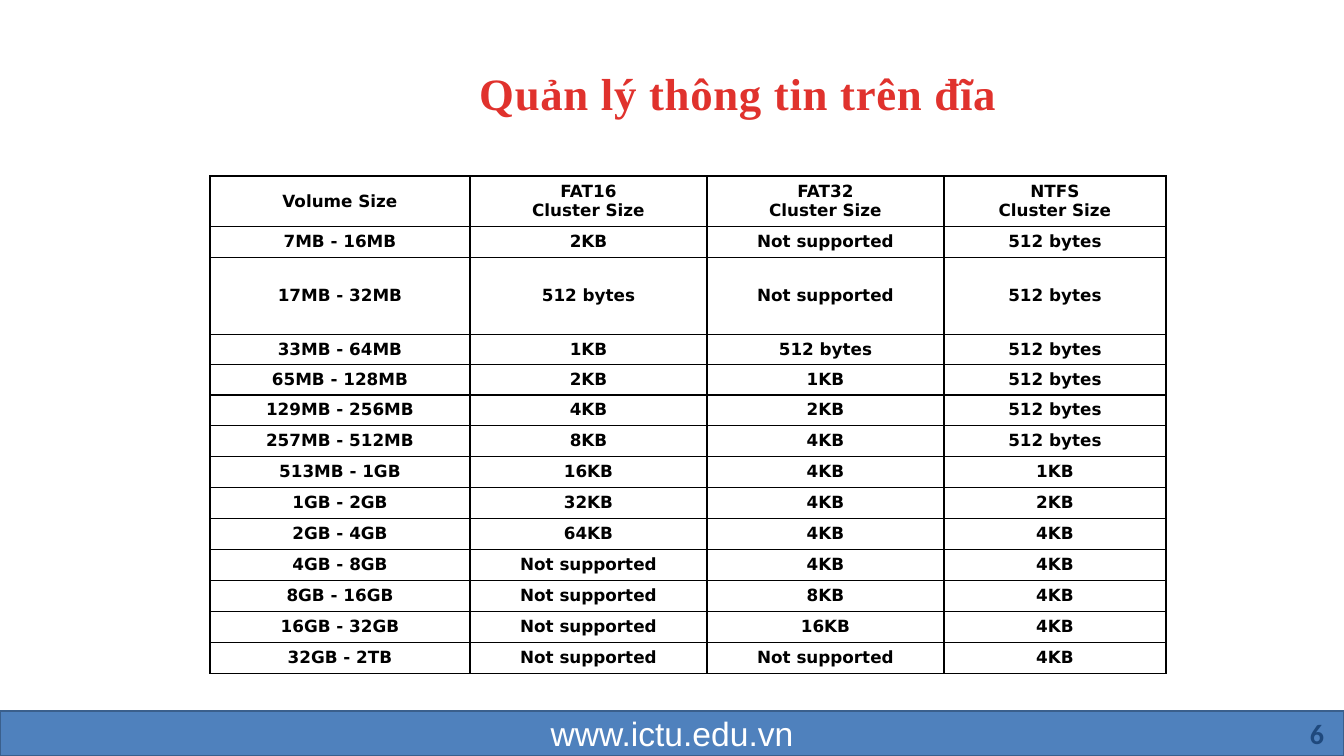
from copy import deepcopy

from pptx import Presentation
from pptx import util as u
from pptx.dml.color import RGBColor
from pptx.enum import shapes, text
from pptx.oxml import parse_xml
from pptx.oxml.ns import nsdecls, qn

PX = 914400 / 100.8

CLUSTER_SIZES = [
    ("Volume Size", "FAT16\vCluster Size", "FAT32\vCluster Size", "NTFS\vCluster Size"),
    ("7MB - 16MB", "2KB", "Not supported", "512 bytes"),
    ("17MB - 32MB", "512 bytes", "Not supported", "512 bytes"),
    ("33MB - 64MB", "1KB", "512 bytes", "512 bytes"),
    ("65MB - 128MB", "2KB", "1KB", "512 bytes"),
    ("129MB - 256MB", "4KB", "2KB", "512 bytes"),
    ("257MB - 512MB", "8KB", "4KB", "512 bytes"),
    ("513MB - 1GB", "16KB", "4KB", "1KB"),
    ("1GB - 2GB", "32KB", "4KB", "2KB"),
    ("2GB - 4GB", "64KB", "4KB", "4KB"),
    ("4GB - 8GB", "Not supported", "4KB", "4KB"),
    ("8GB - 16GB", "Not supported", "8KB", "4KB"),
    ("16GB - 32GB", "Not supported", "16KB", "4KB"),
    ("32GB - 2TB", "Not supported", "Not supported", "4KB"),
]
COLUMN_WIDTHS = [260, 237, 237, 222]
ROW_HEIGHTS = [50, 31, 77] + [30] * 3 + [31] * 8


def px(length):
    return u.Emu(round(length * PX))


def color(hex_code):
    return RGBColor.from_string(hex_code)


def write(frame, words, *, font, size, fill, bold=False, spacing=None):
    frame.word_wrap = True
    paragraph = frame.paragraphs[0]
    paragraph.text = words
    paragraph.alignment = text.PP_ALIGN.CENTER
    for run in paragraph.runs:
        run.font.name = font
        run.font.size = u.Pt(size)
        run.font.bold = bold
        if isinstance(fill, str):
            run.font.color.rgb = color(fill)
        else:
            run.font.fill.gradient()
            run.font.fill.gradient_angle = 270
            for stop, (position, hex_code) in zip(run.font.fill.gradient_stops, fill):
                stop.position = position
                stop.color.rgb = color(hex_code)
        if spacing:
            run.font._element.set("spc", str(spacing))
    for line_break in paragraph._p.findall(qn("a:br")):
        line_break.append(deepcopy(paragraph.runs[0].font._element))


class Deck:
    heading = dict(font="Times New Roman", size=32, bold=True, spacing=50,
                   fill=[(0.25, "E0322D"), (1, "A2201C")])
    footer = dict(font="Arial", size=24, fill="FFFFFF")
    number = dict(font="Calibri", size=20, bold=True, fill="1F497D")
    entry = dict(font="DejaVu Sans", size=12, bold=True, fill="000000")

    def __init__(self):
        self.presentation = Presentation()
        self.presentation.slide_width = px(1344)
        self.presentation.slide_height = px(756)
        self.slide = self.presentation.slides.add_slide(self.presentation.slide_layouts[5])

    def title(self, words, *box):
        heading = self.slide.shapes.title
        heading.left, heading.top, heading.width, heading.height = map(px, box)
        heading.text_frame.vertical_anchor = text.MSO_ANCHOR.MIDDLE
        write(heading.text_frame, words, **self.heading)

    def footer_bar(self, words, *box):
        bar = self.slide.shapes.add_shape(shapes.MSO_SHAPE.RECTANGLE, *map(px, box))
        bar.shadow.inherit = False
        bar.fill.solid()
        bar.fill.fore_color.rgb = color("4F81BD")
        bar.line.color.rgb = color("3A5F8C")
        bar.line.width = u.Pt(2)
        bar.text_frame.vertical_anchor = text.MSO_ANCHOR.MIDDLE
        write(bar.text_frame, words, **self.footer)

    def page_number(self, words, *box):
        page = self.slide.shapes.add_textbox(*map(px, box))
        write(page.text_frame, words, **self.number)

    def table(self, rows, left, top, widths, heights):
        grid = self.slide.shapes.add_table(
            len(rows), len(widths), px(left), px(top), px(sum(widths)), px(sum(heights))).table
        grid.first_row = grid.horz_banding = False
        for column, width in zip(grid.columns, widths):
            column.width = px(width)
        for row, height, entries in zip(grid.rows, heights, rows):
            row.height = px(height)
            for cell, words in zip(row.cells, entries):
                self.cell(cell, words)

    def cell(self, cell, words):
        cell.vertical_anchor = text.MSO_ANCHOR.MIDDLE
        write(cell.text_frame, words, **self.entry)
        properties = cell._tc.get_or_add_tcPr()
        for side in ("lnL", "lnR", "lnT", "lnB"):
            properties.append(parse_xml(
                f'<a:{side} {nsdecls("a")} w="12700"><a:solidFill>'
                f'<a:srgbClr val="000000"/></a:solidFill></a:{side}>'))
        cell.fill.background()


def main():
    deck = Deck()
    deck.footer_bar("www.ictu.edu.vn", 0, 711, 1344, 45)
    deck.page_number("6", 1291, 712, 52, 78)
    deck.title("Quản lý thông tin trên đĩa", 140, 30, 1196, 126)
    deck.table(CLUSTER_SIZES, 210, 176, COLUMN_WIDTHS, ROW_HEIGHTS)
    deck.presentation.save("out.pptx")


if __name__ == "__main__":
    main()
